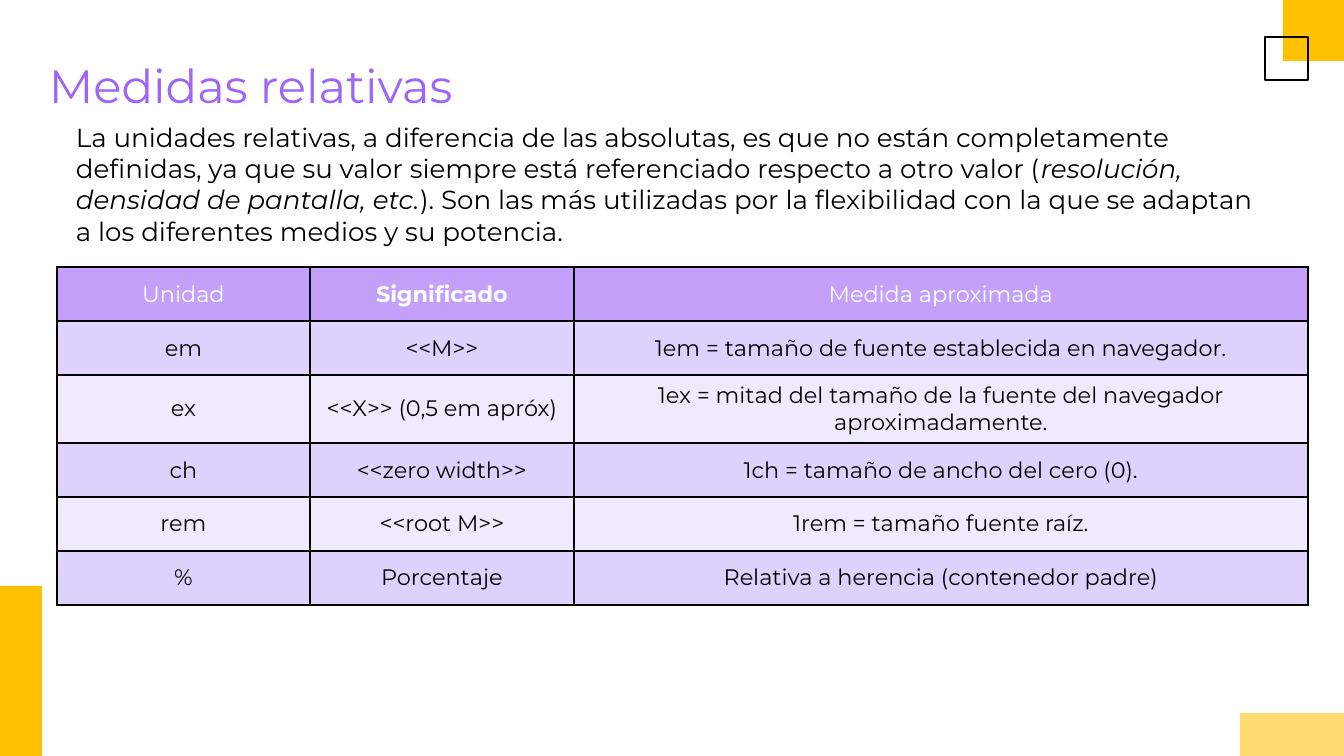
from dataclasses import dataclass
from typing import Any, Optional

from lxml.etree import SubElement
from pptx import Presentation
from pptx.dml.color import RGBColor
from pptx.enum.shapes import MSO_SHAPE
from pptx.enum.text import MSO_ANCHOR, PP_ALIGN
from pptx.oxml.ns import qn
from pptx.util import Emu, Pt

SCALE = 914400 / 134.4
FONT = "Montserrat"
BLACK, WHITE, VIOLET = "000000", "FFFFFF", "9D66F9"
GOLD, CREAM = "FFC100", "FFDB71"
HEAD, BANDS = "C3A1FB", ("DED2FD", "EFEAFE")


@dataclass
class Block:
    left: int
    top: int
    width: int
    height: int
    fill: Optional[str] = None
    line: Optional[str] = None


BLOCKS = [
    Block(1283, 0, 61, 61, fill=GOLD),
    Block(0, 586, 42, 170, fill=GOLD),
    Block(1265, 37, 43, 43, line=BLACK),
    Block(1240, 713, 104, 43, fill=CREAM),
]

INTRO = [
    ("La unidades relativas, a diferencia de las absolutas, es que no están "
     "completamente definidas, ya que su valor siempre está referenciado "
     "respecto a otro valor (", False),
    ("resolución, densidad de pantalla, etc.", True),
    ("). Son las más utilizadas por la flexibilidad con la que se adaptan a "
     "los diferentes medios y su potencia.", False),
]

COLS = (253, 264, 734)
ROWS = [
    ("Unidad", "Significado", "Medida aproximada"),
    ("em", "<<M>>", "1em = tamaño de fuente establecida en navegador."),
    ("ex", "<<X>> (0,5 em apróx)",
     "1ex = mitad del tamaño de la fuente del navegador aproximadamente."),
    ("ch", "<<zero width>>", "1ch = tamaño de ancho del cero (0)."),
    ("rem", "<<root M>>", "1rem = tamaño fuente raíz."),
    ("%", "Porcentaje", "Relativa a herencia (contenedor padre)"),
]
ROW, TALL = 54, 68


def px(n: int) -> Emu:
    return Emu(round(n * SCALE))


def color(code: str) -> RGBColor:
    return RGBColor.from_string(code)


def write(para: Any, text: str, *, size: int, tint: str = BLACK,
          bold: bool = False, italic: bool = False) -> None:
    run = para.add_run()
    run.text = text
    font = run.font
    font.name, font.size = FONT, Pt(size)
    font.bold, font.italic = bold, italic
    font.color.rgb = color(tint)


def place(shape: Any, left: int, top: int, width: int, height: int) -> None:
    shape.left, shape.top = px(left), px(top)
    shape.width, shape.height = px(width), px(height)


def setup(frame: Any) -> Any:
    frame.word_wrap = True
    frame.vertical_anchor = MSO_ANCHOR.TOP
    frame.margin_left = frame.margin_right = px(13)
    frame.margin_top = frame.margin_bottom = px(13)
    para = frame.paragraphs[0]
    para.alignment = PP_ALIGN.LEFT
    return para


def draw(slide: Any, block: Block) -> None:
    shape = slide.shapes.add_shape(
        MSO_SHAPE.RECTANGLE, px(block.left), px(block.top),
        px(block.width), px(block.height))
    shape.shadow.inherit = False
    if block.fill:
        shape.fill.solid()
        shape.fill.fore_color.rgb = color(block.fill)
    else:
        shape.fill.background()
    if block.line:
        shape.line.color.rgb = color(block.line)
        shape.line.width = Pt(1.5)
    else:
        shape.line.fill.background()


def border(cell: Any) -> None:
    props = cell._tc.get_or_add_tcPr()
    for spot, side in enumerate(("a:lnL", "a:lnR", "a:lnT", "a:lnB")):
        line = SubElement(props, qn(side), w=str(Pt(1)))
        fill = SubElement(line, qn("a:solidFill"))
        SubElement(fill, qn("a:srgbClr"), val=BLACK)
        props.insert(spot, line)  # borders come before the fill


def grid(slide: Any, left: int, top: int) -> None:
    high = [TALL if row[0] == "ex" else ROW for row in ROWS]
    table = slide.shapes.add_table(
        len(ROWS), len(COLS), px(left), px(top),
        px(sum(COLS)), px(sum(high))).table
    for col, width in zip(table.columns, COLS):
        col.width = px(width)
    for r, row in enumerate(ROWS):
        table.rows[r].height = px(high[r])
        for c, text in enumerate(row):
            cell = table.cell(r, c)
            cell.fill.solid()
            cell.fill.fore_color.rgb = color(BANDS[(r - 1) % 2] if r else HEAD)
            cell.vertical_anchor = MSO_ANCHOR.MIDDLE
            para = cell.text_frame.paragraphs[0]
            para.alignment = PP_ALIGN.CENTER
            write(para, text, size=12, tint=BLACK if r else WHITE,
                  bold=r == 0 and c == 1)
            border(cell)


def main() -> None:
    deck = Presentation()
    deck.slide_width, deck.slide_height = px(1344), px(756)
    slide = deck.slides.add_slide(deck.slide_layouts[5])

    # Corner decoration
    for block in BLOCKS:
        draw(slide, block)

    # Introduction
    box = slide.shapes.add_textbox(0, 0, 0, 0)
    place(box, 46, 108, 1235, 134)
    para = setup(box.text_frame)
    para.space_after = Pt(6)
    props = para._p.get_or_add_pPr()
    props.set("marL", str(px(17)))
    props.set("indent", "0")
    for text, italic in INTRO:
        write(para, text, size=14, italic=italic)

    # Title
    title = slide.shapes.title
    place(title, 36, 44, 1273, 85)
    write(setup(title.text_frame), "Medidas relativas", size=25, tint=VIOLET)

    # Table of units
    grid(slide, 57, 267)

    deck.save("out.pptx")


if __name__ == "__main__":
    main()
